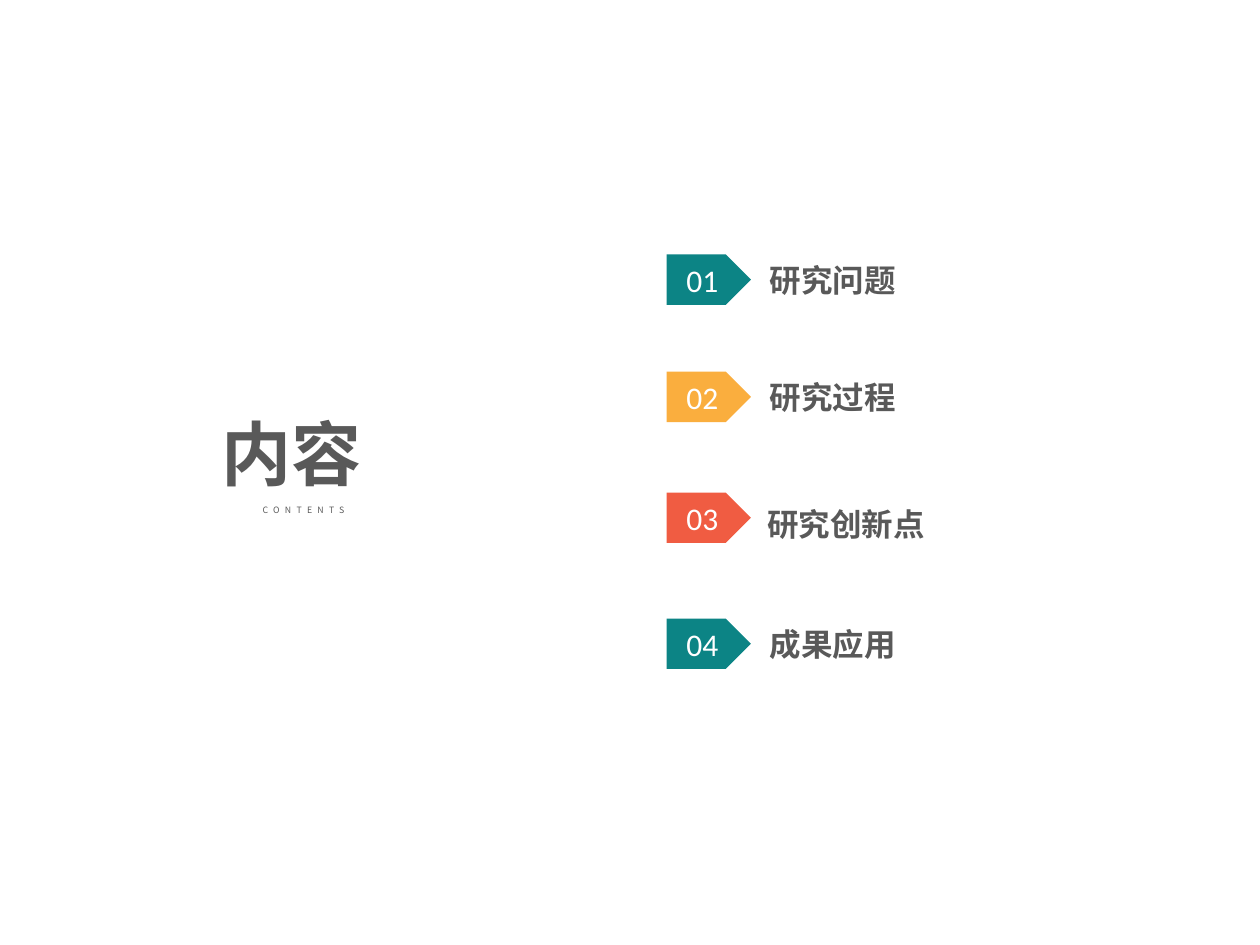
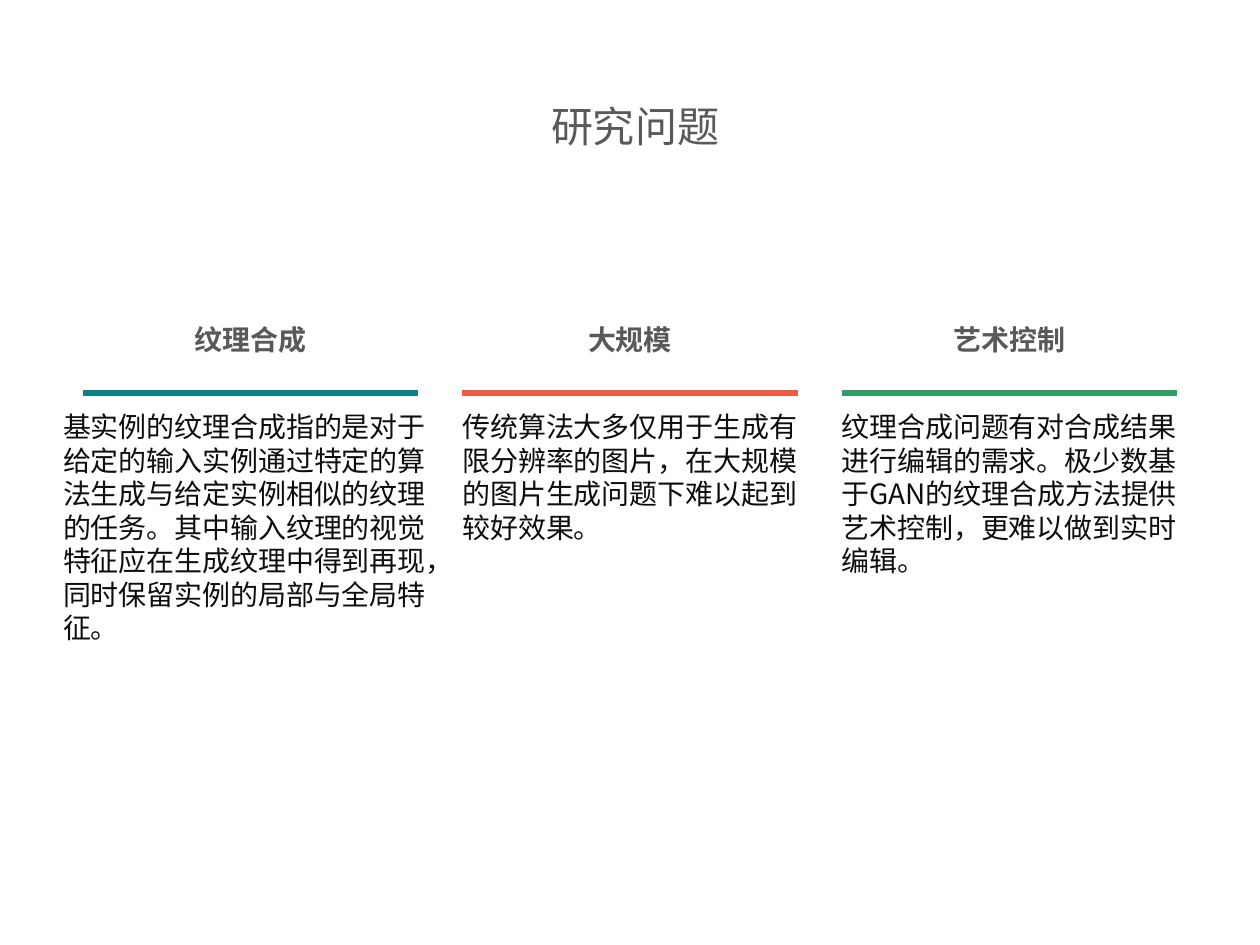
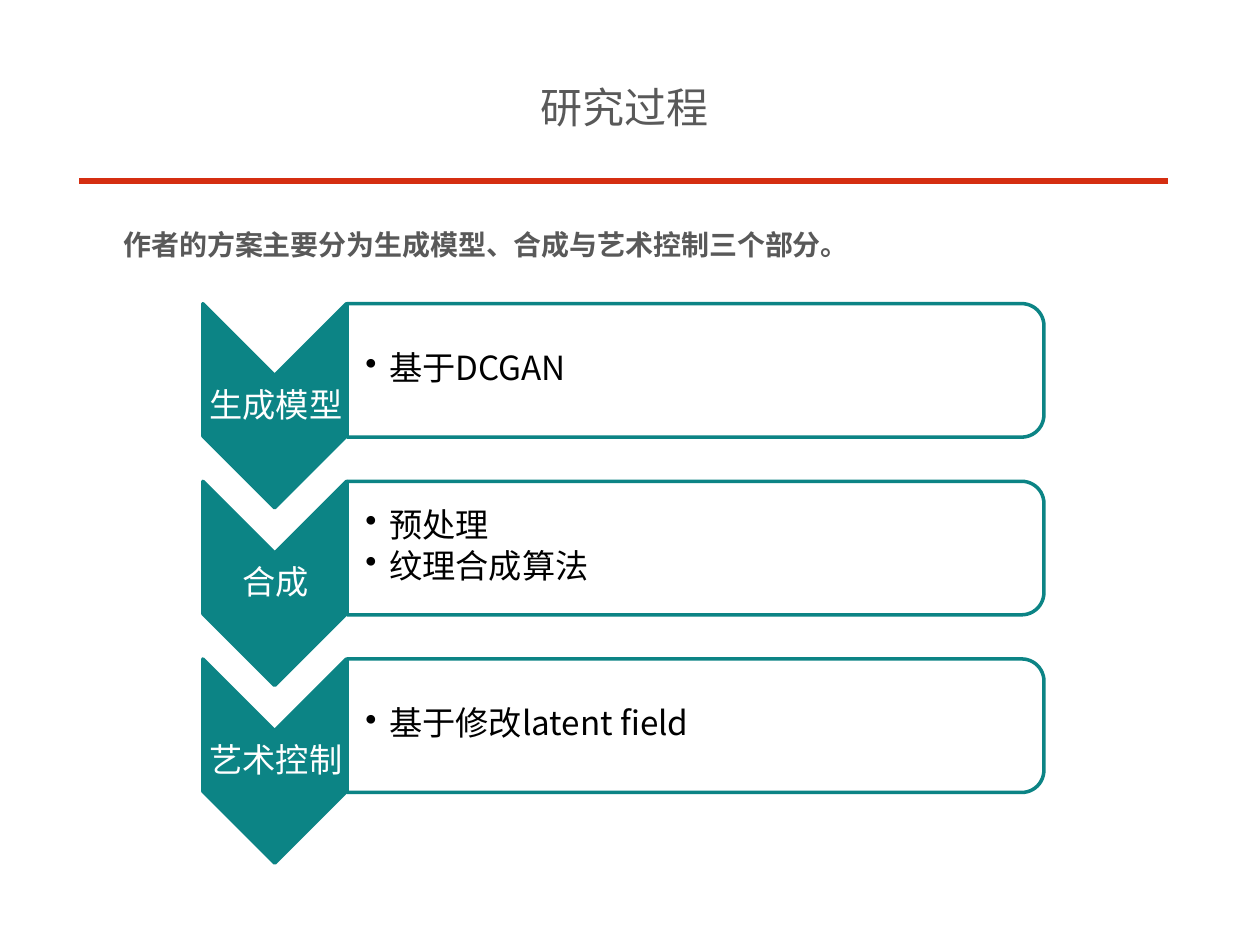
from dataclasses import dataclass

from lxml.etree import SubElement
from pptx import Presentation
from pptx.dml.color import RGBColor
from pptx.enum.shapes import MSO_CONNECTOR as CONN, MSO_SHAPE as SHAPE
from pptx.enum.text import MSO_ANCHOR as ANCHOR, PP_ALIGN as ALIGN
from pptx.oxml.ns import qn
from pptx.util import Inches, Pt


@dataclass(frozen=True)
class Theme:
    font: str = "Noto Sans CJK SC"
    number_font: str = "Calibri"
    teal: str = "0C8485"
    rule_teal: str = "098485"
    amber: str = "FAAE3E"
    coral: str = "F05C42"
    green: str = "2D9E67"
    red: str = "D52E11"
    grey: str = "595959"
    ink: str = "0D0D0D"
    black: str = "000000"
    white: str = "FFFFFF"
    caption: float = 5
    body: float = 16
    entry: float = 18
    step: float = 19
    title: float = 24
    cover: float = 40
    rule: float = 3.5
    outline: float = 2


T = Theme()

# number, label, colour, tag top, label left, line spacing
AGENDA = [
    ("01", "研究问题", T.teal, 2.02, 6.01, None),
    ("02", "研究过程", T.amber, 2.95, 6.01, None),
    ("03", "研究创新点", T.coral, 3.91, 5.99, 1.3),
    ("04", "成果应用", T.teal, 4.91, 6.01, None),
]

# heading, rule colour, body offset from the rule, body width, body
PROBLEMS = [
    ("纹理合成", T.rule_teal, -0.16, 2.98,
     "基实例的纹理合成指的是对于给定的输入实例通过特定的算法生成与给定实例相似的纹理的任务。"
     "其中输入纹理的视觉特征应在生成纹理中得到再现，同时保留实例的局部与全局特征。"),
    ("大规模", T.coral, 0, 2.74,
     "传统算法大多仅用于生成有限分辨率的图片，在大规模的图片生成问题下难以起到较好效果。"),
    ("艺术控制", T.green, 0, 2.74,
     "纹理合成问题有对合成结果进行编辑的需求。极少数基于GAN的纹理合成方法提供艺术控制，"
     "更难以做到实时编辑。"),
]

SUMMARY = "作者的方案主要分为生成模型、合成与艺术控制三个部分。"
STEPS = [
    ("生成模型", ["基于DCGAN"]),
    ("合成", ["预处理", "纹理合成算法"]),
    ("艺术控制", ["基于修改latent field"]),
]


def rgb(color):
    return RGBColor.from_string(color)


def write(sp, lines, size, color, bold=False, align=ALIGN.LEFT, anchor=ANCHOR.TOP,
          inset=(0, 0, 0, 0), font=T.font, wrap=True, spacing=None, tracking=None,
          bullet=False):
    """Fill a shape with one paragraph per line, all in one style."""
    tf = sp.text_frame
    tf.word_wrap = wrap
    tf.vertical_anchor = anchor
    tf.margin_left, tf.margin_top, tf.margin_right, tf.margin_bottom = map(Inches, inset)
    for i, line in enumerate(lines):
        p = tf.add_paragraph() if i else tf.paragraphs[0]
        p.alignment = align
        if spacing:
            p.line_spacing = spacing
        if bullet:
            add_bullet(p)
        r = p.add_run()
        r.text = line
        r.font.name = font
        r.font.size = Pt(size)
        r.font.bold = bold
        r.font.color.rgb = rgb(color)
        rPr = r.font._element
        SubElement(rPr, qn("a:ea")).set("typeface", font)
        if tracking:
            rPr.set("spc", str(tracking * 100))


def add_bullet(p):
    p.space_after = Pt(3)
    pPr = p._p.get_or_add_pPr()
    pPr.set("marL", str(Inches(0.19)))
    pPr.set("indent", str(Inches(-0.19)))
    SubElement(pPr, qn("a:buChar")).set("char", "•")


def text(slide, box, lines, size, color, **style):
    sp = slide.shapes.add_textbox(*map(Inches, box))
    write(sp, lines, size, color, **style)


def shape(slide, kind, box, fill, line=None):
    sp = slide.shapes.add_shape(kind, *map(Inches, box))
    sp.shadow.inherit = False
    sp.fill.solid()
    sp.fill.fore_color.rgb = rgb(fill)
    if line:
        sp.line.color.rgb = rgb(line)
        sp.line.width = Pt(T.outline)
    else:
        sp.line.fill.background()
    return sp


def turned(slide, kind, center, size, fill):
    """Add a teal-edged shape turned a quarter clockwise about its centre."""
    (cx, cy), (w, h) = center, size
    sp = shape(slide, kind, (cx - w / 2, cy - h / 2, w, h), fill, T.teal)
    sp.rotation = 90


def rule(slide, x, y, width, color):
    ln = slide.shapes.add_connector(CONN.STRAIGHT, *map(Inches, (x, y, x + width, y)))
    ln.line.color.rgb = rgb(color)
    ln.line.width = Pt(T.rule)
    SubElement(ln._element.spPr, qn("a:effectLst"))


def title(slide, box, words):
    text(slide, box, [words], T.title, T.grey, align=ALIGN.CENTER,
         anchor=ANCHOR.MIDDLE, inset=(0, 0.05, 0, 0.05))


def contents_slide(slide):
    tag_h, label_h = 0.4, 0.77
    text(slide, (1.76, 3.26, 1.24, 0.68), ["内容"], T.cover, T.grey, bold=True)
    text(slide, (1.82, 4.01, 1.18, 0.11), ["CONTENTS"], T.caption, T.grey,
         align=ALIGN.CENTER, tracking=3)
    pad = (0.1, 0.05, 0.1, 0.05)
    for number, label, color, top, label_x, spacing in AGENDA:
        tag = shape(slide, SHAPE.PENTAGON, (5.29, top, 0.67, tag_h), color)
        write(tag, [number], T.entry, T.white, align=ALIGN.CENTER, anchor=ANCHOR.MIDDLE,
              inset=pad, font=T.number_font, wrap=False)
        text(slide, (label_x, top + (tag_h - label_h) / 2, 3.9, label_h), [label],
             T.entry, T.grey, bold=True, anchor=ANCHOR.MIDDLE, inset=pad, spacing=spacing)


def problem_slide(slide):
    title(slide, (3.02, 0.76, 4.04, 0.48), "研究问题")
    left, pitch, width = 0.66, 3.01, 2.66
    for i, (heading, color, offset, body_w, body) in enumerate(PROBLEMS):
        x = left + i * pitch
        text(slide, (x, 2.56, width, 0.27), [heading], T.body, T.grey, bold=True,
             align=ALIGN.CENTER)
        text(slide, (x + offset, 3.25, body_w, 1.88), [body], T.body, T.ink)
        rule(slide, x, 3.12, width, color)


def process_slide(slide):
    title(slide, (3.58, 0.6, 2.75, 0.49), "研究过程")
    text(slide, (0.98, 1.81, 8.39, 0.57), [SUMMARY], T.body, T.grey, bold=True)
    rule(slide, 0.63, 1.44, 8.64, T.red)
    first, pitch = 3.22, 1.41
    inset = 0.01
    for i, (name, points) in enumerate(STEPS):
        y = first + i * pitch
        turned(slide, SHAPE.CHEVRON, (2.18, y), (1.62, 1.14), T.teal)
        text(slide, (1.62, y - 0.24, 1.14, 0.49), [name], T.step, T.white,
             align=ALIGN.CENTER, anchor=ANCHOR.MIDDLE, inset=(inset,) * 4, spacing=0.9)
        turned(slide, SHAPE.ROUND_2_SAME_RECTANGLE, (5.52, y - 0.28), (1.06, 5.53), T.white)
        text(slide, (2.75, y - 0.76, 5.48, 0.95), points, T.step, T.black,
             anchor=ANCHOR.MIDDLE, inset=(0.15, inset, inset, inset), spacing=0.9,
             bullet=True)


def main():
    prs = Presentation()
    prs.slide_width, prs.slide_height = Inches(10), Inches(7.5)
    blank = prs.slide_layouts[6]
    for build in (contents_slide, problem_slide, process_slide):
        build(prs.slides.add_slide(blank))
    prs.save("out.pptx")


if __name__ == "__main__":
    main()
